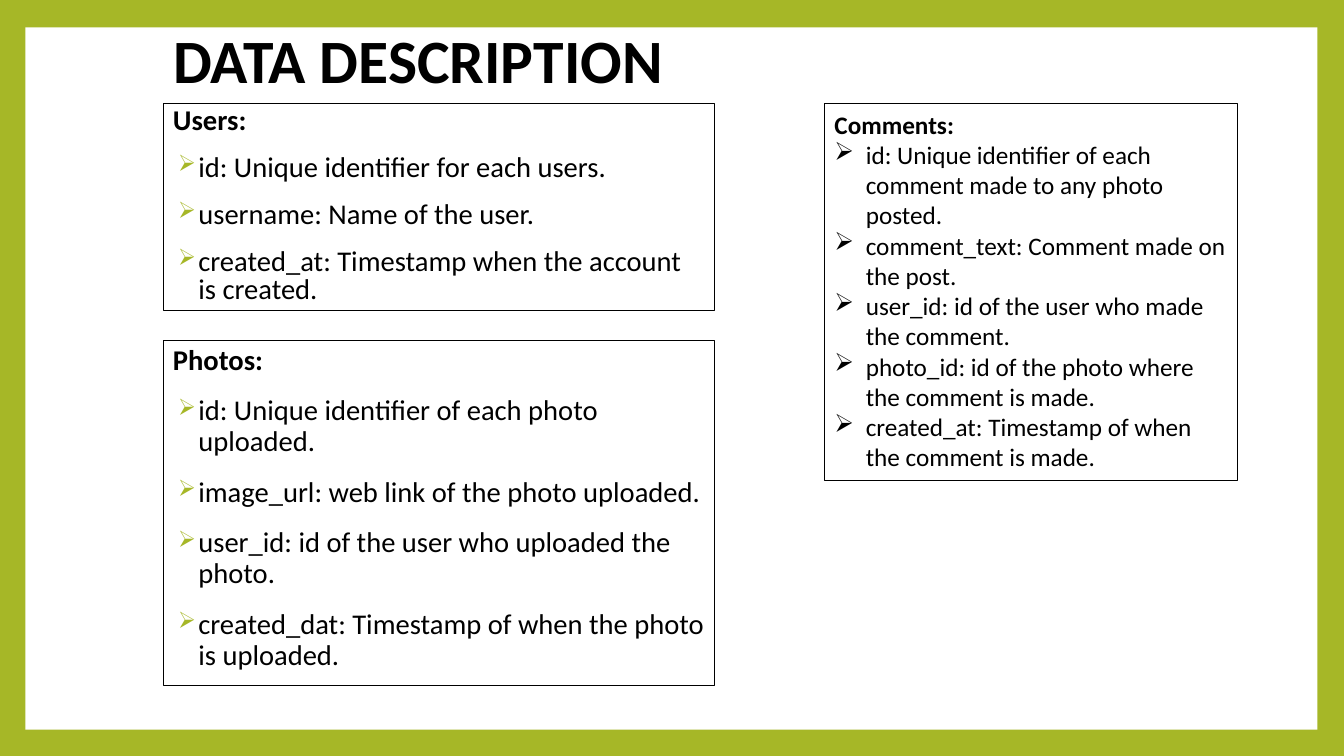
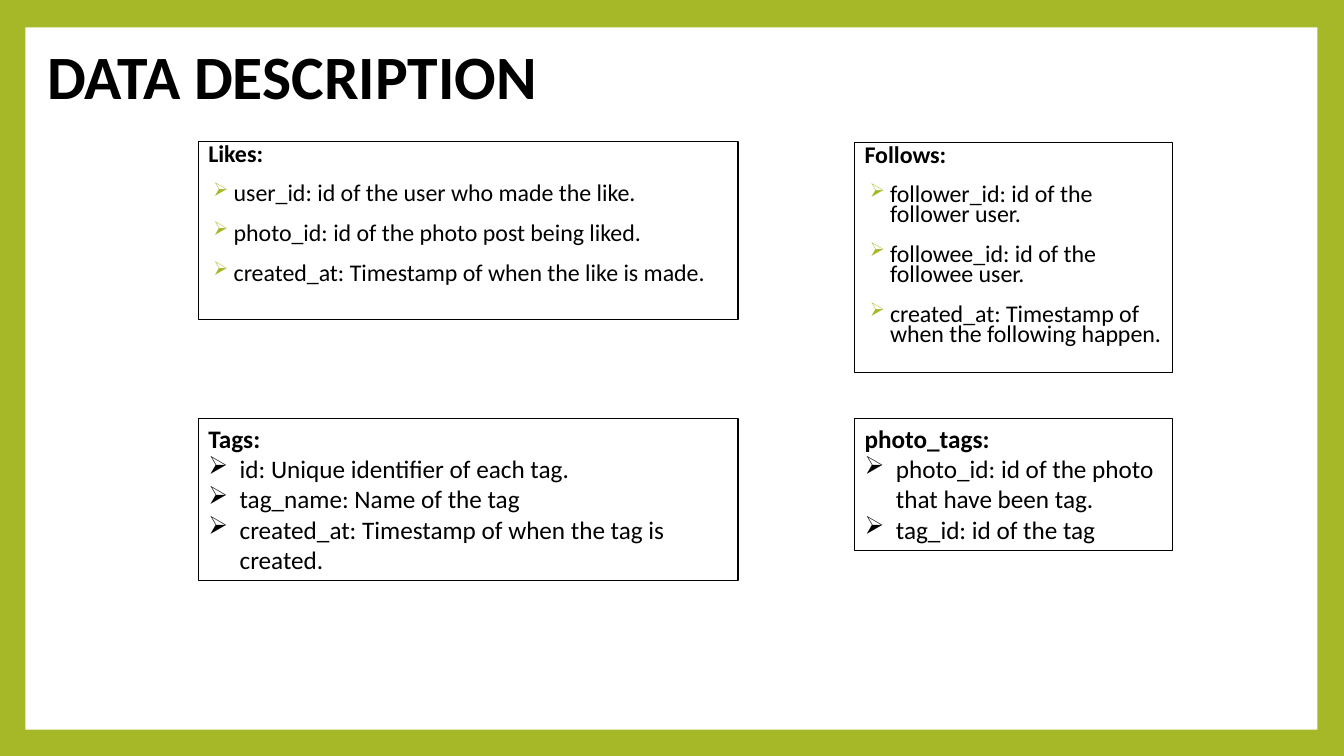
"""Build two slides that describe the tables of a photo-sharing database."""
from lxml import etree
from pptx import Presentation
from pptx.dml.color import RGBColor
from pptx.enum.shapes import MSO_SHAPE
from pptx.enum.text import MSO_ANCHOR, MSO_AUTO_SIZE, PP_ALIGN
from pptx.oxml.ns import qn
from pptx.util import Cm, Pt

RECTANGLE = MSO_SHAPE.RECTANGLE
MIDDLE = MSO_ANCHOR.MIDDLE
NO_FIT = MSO_AUTO_SIZE.NONE
LEFT = PP_ALIGN.LEFT
TITLE_ONLY = 5

COLORS = {"frame": "A6B727", "panel": "FFFFFF", "ink": "000000"}
SPACED = {"indent": 0.64, "hanging": 0.51, "before": 14, "bullet": "frame", "percent": 80}
PLAIN = {"indent": 0.79, "hanging": 0.79, "before": 0, "bullet": "ink", "percent": 100}


class SlideBuilder:
    """Hold the shared style and the current slide."""

    font_name = "Calibri"

    def __init__(self):
        """Open a wide deck with the frame colour as its background."""
        self.deck = Presentation()
        self.deck.slide_width, self.deck.slide_height = Cm(33.87), Cm(19.05)
        background = self.deck.slide_master.background.fill
        background.solid()
        background.fore_color.rgb = self.color("frame")
        self.page = None

    def color(self, name):
        """Return a named colour."""
        return RGBColor.from_string(COLORS[name])

    def set_font(self, para, size, bold):
        """Apply the text style to a paragraph."""
        para.font.name = self.font_name
        para.font.size = Pt(size)
        para.font.bold = bold
        para.font.color.rgb = self.color("ink")

    def add_page(self, title, left, top, width, height):
        """Start a slide with the white panel and its title."""
        self.page = self.deck.slides.add_slide(self.deck.slide_layouts[TITLE_ONLY])
        heading = self.page.shapes.title
        panel = self.page.shapes.add_shape(RECTANGLE, Cm(0.64), Cm(0.69), Cm(32.56), Cm(17.7))
        panel.shadow.inherit = False
        panel.fill.solid()
        panel.fill.fore_color.rgb = self.color("panel")
        panel.line.fill.background()
        heading.element.addprevious(panel.element)

        heading.left, heading.top = Cm(left), Cm(top)
        heading.width, heading.height = Cm(width), Cm(height)
        frame = heading.text_frame
        frame.text = title
        frame.auto_size = NO_FIT
        frame.vertical_anchor = MIDDLE
        para = frame.paragraphs[0]
        para.alignment = LEFT
        para.line_spacing = 0.9
        self.set_font(para, 44, True)

    def add_bullet(self, para, style):
        """Give a paragraph an arrow bullet and a hanging indent."""
        props = para._p.get_or_add_pPr()
        props.set("marL", str(Cm(style["indent"])))
        props.set("indent", str(-Cm(style["hanging"])))
        color = etree.SubElement(props, qn("a:buClr"))
        etree.SubElement(color, qn("a:srgbClr"), val=COLORS[style["bullet"]])
        etree.SubElement(props, qn("a:buSzPct"), val=str(style["percent"] * 1000))
        etree.SubElement(props, qn("a:buFont"), typeface="Wingdings")
        etree.SubElement(props, qn("a:buChar"), char="Ø")

    def add_card(self, name, fields, place, style, size=18, spacing=1.0):
        """Draw an outlined box that lists the fields of one table."""
        box = self.page.shapes.add_textbox(*map(Cm, place))
        box.line.color.rgb = self.color("ink")
        box.line.width = Pt(0.75)
        frame = box.text_frame
        frame.word_wrap = True
        frame.auto_size = NO_FIT
        heading = frame.paragraphs[0]
        heading.text = name
        heading.line_spacing = spacing
        self.set_font(heading, size, True)
        for field in fields:
            para = frame.add_paragraph()
            para.text = field
            para.line_spacing = spacing
            para.space_before = Pt(style["before"])
            self.set_font(para, size, False)
            self.add_bullet(para, style)


def main():
    """Build and save both slides."""
    builder = SlideBuilder()

    builder.add_page("DATA DESCRIPTION", 4.11, 0.56, 27.84, 2.08)
    builder.add_card("Users:", [
        "id: Unique identifier for each users.",
        "username: Name of the user.",
        "created_at: Timestamp when the account is created.",
    ], (4.11, 2.62, 13.9, 5.2), SPACED, 20.4, 0.8)
    builder.add_card("Photos:", [
        "id: Unique identifier of each photo uploaded.",
        "image_url: web link of the photo uploaded.",
        "user_id: id of the user who uploaded the photo.",
        "created_dat: Timestamp of when the photo is uploaded.",
    ], (4.11, 8.59, 13.9, 8.69), SPACED, 20.4, 0.9)
    builder.add_card("Comments:", [
        "id: Unique identifier of each comment made to any photo posted.",
        "comment_text: Comment made on the post.",
        "user_id: id of the user who made the comment.",
        "photo_id: id of the photo where the comment is made.",
        "created_at: Timestamp of when the comment is made.",
    ], (20.78, 2.62, 10.42, 9.5), PLAIN)

    builder.add_page("DATA DESCRIPTION", 0.94, 1.04, 27.84, 1.93)
    left, right, lower = 5, 21.54, 10.54
    wide, narrow = 13.6, 8
    builder.add_card("Likes:", [
        "user_id: id of the user who made the like.",
        "photo_id: id of the photo post being liked.",
        "created_at: Timestamp of when the like is made.",
    ], (left, 3.56, wide, 4.5), SPACED, 17.1, 0.7)
    builder.add_card("Follows:", [
        "follower_id: id of the follower user.",
        "followee_id: id of the followee user.",
        "created_at: Timestamp of when the following happen.",
    ], (right, 3.58, narrow, 5.8), SPACED, 17.1, 0.7)
    builder.add_card("Tags:", [
        "id: Unique identifier of each tag.",
        "tag_name: Name of the tag",
        "created_at: Timestamp of when the tag is created.",
    ], (left, lower, wide, 4.1), PLAIN)
    builder.add_card("photo_tags:", [
        "photo_id: id of the photo that have been tag.",
        "tag_id: id of the tag",
    ], (right, lower, narrow, 3.33), PLAIN)

    builder.deck.save("out.pptx")


if __name__ == "__main__":
    main()
